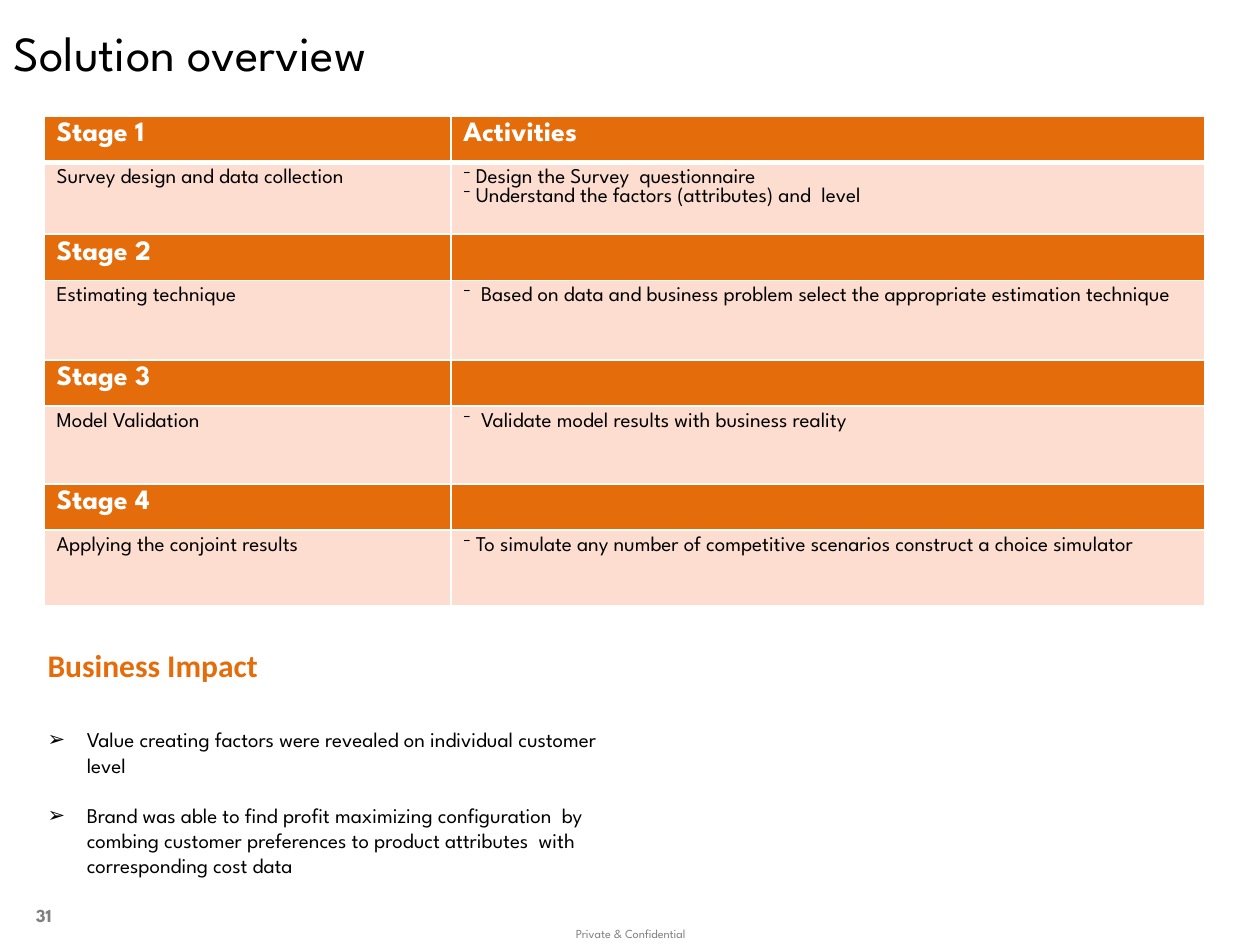
from lxml import etree
from pptx import Presentation
from pptx.dml.color import RGBColor
from pptx.enum.text import MSO_ANCHOR, PP_ALIGN
from pptx.oxml.ns import qn
from pptx.util import Cm, Pt

LEFT, MID, RIGHT = PP_ALIGN.LEFT, PP_ALIGN.CENTER, PP_ALIGN.RIGHT
TOP, CENTER = MSO_ANCHOR.TOP, MSO_ANCHOR.MIDDLE
SANS = "League Spartan"
INK = {"text": "000000", "head": "E46C0A", "body": "FCDDCF",
       "line": "FFFFFF", "grey": "808080"}

# Stage task, its activities, height of its row in cm
STAGES = [
    ("Survey design and data collection",
     ["Design the Survey  questionnaire",
      "Understand the factors (attributes) and  level"], 1.45),
    ("Estimating technique",
     [" Based on data and business problem select the appropriate "
      "estimation technique"], 1.6),
    ("Model Validation",
     [" Validate model results with business reality"], 1.57),
    ("Applying the conjoint results",
     ["To simulate any number of competitive scenarios construct a "
      "choice simulator"], 1.52),
]
IMPACTS = [
    "Value creating factors were revealed on individual customer level",
    "Brand was able to find profit maximizing configuration  by combing "
    "customer preferences to product attributes  with corresponding cost data",
]


def add_bullet(para, char, indent):
    props = para._p.get_or_add_pPr()
    props.set("marL", str(Cm(indent)))
    props.set("indent", str(-Cm(indent)))
    etree.SubElement(props, qn("a:buFont"), typeface="Arial")
    etree.SubElement(props, qn("a:buChar"), char=char)


def set_font(para, size, color, bold=False, face=SANS):
    font = para.font
    font.name, font.size, font.bold = face, Pt(size), bold
    font.color.rgb = RGBColor.from_string(INK[color])


def fill_text(frame, lines, size, color, bold=False, face=SANS, align=LEFT,
              bullet=None, indent=0, gap=0, pitch=None):
    for i, line in enumerate(lines):
        para = frame.add_paragraph() if i else frame.paragraphs[0]
        para.text = line
        para.alignment = align
        if bullet:
            add_bullet(para, bullet, indent)
        if pitch:
            para.line_spacing = pitch
        if i and gap:
            para.space_before = Pt(gap)
        set_font(para, size, color, bold, face)


def add_text(slide, box, lines, size, color, anchor=TOP, wrap=True, **style):
    frame = slide.shapes.add_textbox(*map(Cm, box)).text_frame
    frame.word_wrap = wrap
    frame.vertical_anchor = anchor
    fill_text(frame, lines, size, color, **style)


def set_cell(cell, fill, base=1):
    props = cell._tc.get_or_add_tcPr()
    for side, width in (("L", 1), ("R", 1), ("T", 1), ("B", base)):
        line = etree.SubElement(props, qn("a:ln" + side), w=str(Pt(width)))
        paint = etree.SubElement(line, qn("a:solidFill"))
        etree.SubElement(paint, qn("a:srgbClr"), val=INK["line"])
    cell.fill.solid()
    cell.fill.fore_color.rgb = RGBColor.from_string(INK[fill])


def size_blank(cell, size):
    """Keep an empty cell from stretching its row."""
    para = cell.text_frame.paragraphs[0]._p
    end = etree.SubElement(para, qn("a:endParaRPr"), sz=str(size * 100))
    etree.SubElement(end, qn("a:latin"), typeface=SANS)


def add_stages(slide):
    widths, head = (8.2, 15.19), 0.86
    high = sum(head + stage[2] for stage in STAGES)
    table = slide.shapes.add_table(
        2 * len(STAGES), 2, Cm(0.89), Cm(2.34), Cm(sum(widths)), Cm(high)).table
    for col, width in zip(table.columns, widths):
        col.width = Cm(width)
    for i, (task, acts, tall) in enumerate(STAGES):
        top, low = 2 * i, 2 * i + 1
        table.rows[top].height, table.rows[low].height = Cm(head), Cm(tall)
        for col in range(2):
            set_cell(table.cell(top, col), "head", 1 if i else 3)
            set_cell(table.cell(low, col), "body")
        # Stage heading
        for col, title in enumerate((f"Stage {i + 1}", "" if i else "Activities")):
            cell = table.cell(top, col)
            if title:
                fill_text(cell.text_frame, [title], 16, "line", bold=True)
            else:
                size_blank(cell, 12)
        # Task and activities
        fill_text(table.cell(low, 0).text_frame, [task], 12, "text")
        fill_text(table.cell(low, 1).text_frame, acts, 12, "text",
                  bullet="⁻", indent=0.25)


def main():
    deck = Presentation()
    deck.slide_width, deck.slide_height = Cm(25.4), Cm(19.05)
    slide = deck.slides.add_slide(deck.slide_layouts[6])

    # Title and stages
    add_text(slide, (0.03, 0, 25.37, 2.11), ["Solution overview"], 28, "text",
             anchor=CENTER)
    add_stages(slide)

    # Business impact
    add_text(slide, (0.71, 12.9, 5.61, 1.02), ["Business Impact"], 18, "head",
             wrap=False, bold=True, face="Calibri")
    add_text(slide, (0.71, 14.53, 12.04, 3.33), IMPACTS, 12, "text",
             bullet="➢", indent=0.79, gap=14.4)

    # Page number and footer
    add_text(slide, (-0.18, 17.93, 1.47, 1.02), ["31"], 10.5, "grey",
             anchor=CENTER, bold=True, align=RIGHT)
    add_text(slide, (9.68, 18.59, 6.07, 0.53), ["Private & Confidential"], 7,
             "grey", align=MID, pitch=0.9)

    deck.save("out.pptx")


if __name__ == "__main__":
    main()
